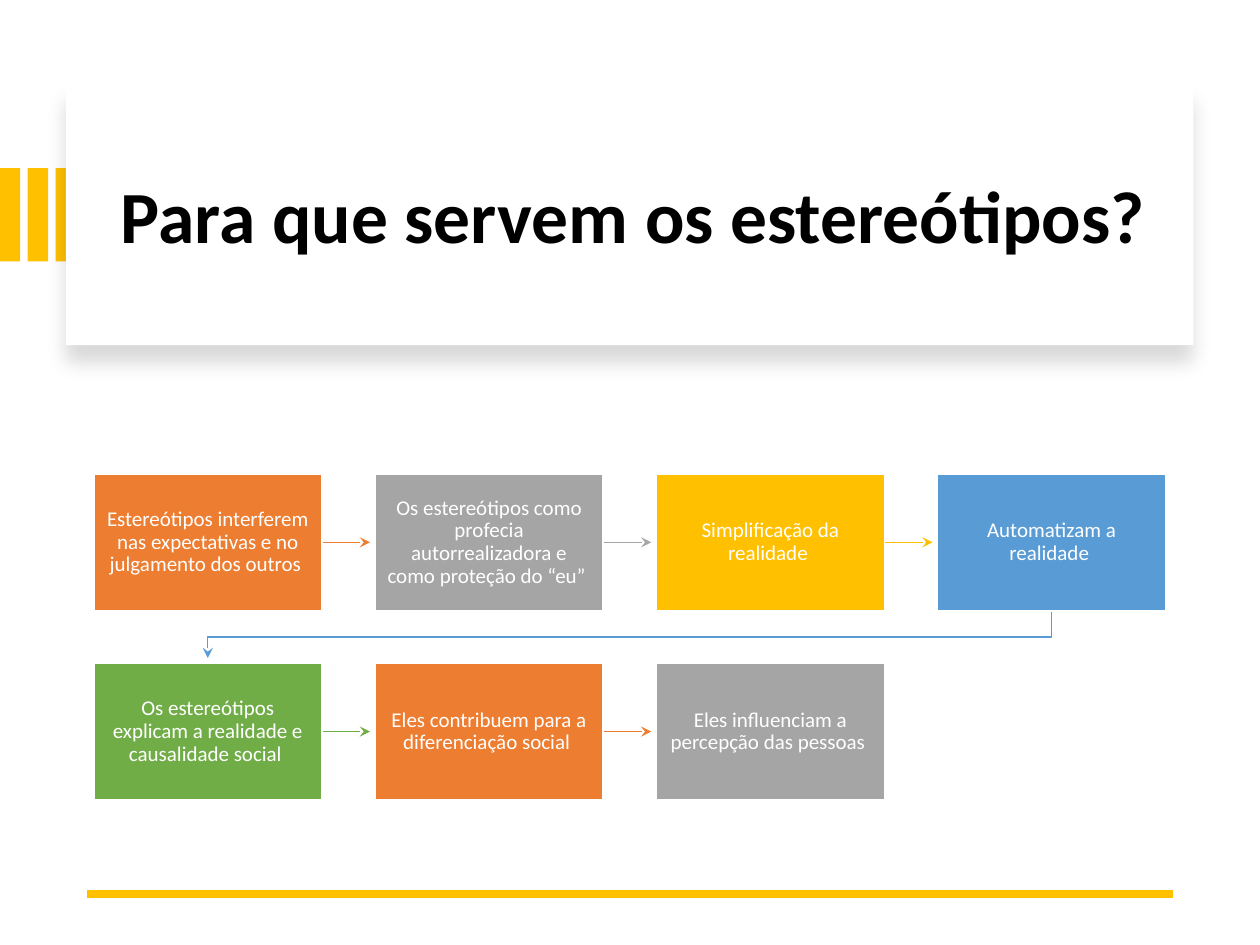
from dataclasses import dataclass

from lxml.etree import SubElement
from pptx import Presentation
from pptx.dml.color import RGBColor as RGB
from pptx.enum.shapes import MSO_CONNECTOR as LINE, MSO_SHAPE as SHAPE
from pptx.enum.text import MSO_ANCHOR as ANCHOR, PP_ALIGN as ALIGN
from pptx.oxml.ns import qn
from pptx.util import Cm, Pt


@dataclass(frozen=True)
class Theme:
    font: str = "Calibri"
    title_size: float = 42
    step_size: float = 12
    black: str = "000000"
    white: str = "FFFFFF"
    orange: str = "ED7D31"
    gray: str = "A5A5A5"
    gold: str = "FFC000"
    blue: str = "599BD5"
    green: str = "70AD47"


T = Theme()
STEPS = [
    ("Estereótipos interferem nas expectativas e no julgamento dos outros ", T.orange),
    ("Os estereótipos como profecia autorrealizadora e como proteção do “eu” ", T.gray),
    ("Simplificação da realidade ", T.gold),
    ("Automatizam a realidade ", T.blue),
    ("Os estereótipos explicam a realidade e causalidade social ", T.green),
    ("Eles contribuem para a diferenciação social ", T.orange),
    ("Eles influenciam a percepção das pessoas ", T.gray),
]


def apply(obj, formats):
    for name, value in formats.items():
        setattr(obj, name, value)


def add_rect(slide, x, y, w, h, color, outline=None):
    sp = slide.shapes.add_shape(SHAPE.RECTANGLE, Cm(x), Cm(y), Cm(w), Cm(h))
    sp.shadow.inherit = False
    sp.fill.solid()
    sp.fill.fore_color.rgb = RGB.from_string(color)
    if outline:
        sp.line.color.rgb = RGB.from_string(outline)
        sp.line.width = Pt(1)
    else:
        sp.line.fill.background()
    return sp


def set_text(sp, text, size, color, align, inset, bold=False):
    tf = sp.text_frame
    apply(tf, {
        "word_wrap": True, "vertical_anchor": ANCHOR.MIDDLE,
        "margin_left": Cm(inset[0]), "margin_right": Cm(inset[0]),
        "margin_top": Cm(inset[1]), "margin_bottom": Cm(inset[1]),
    })
    p = tf.paragraphs[0]
    apply(p, {"alignment": align, "line_spacing": 0.9})
    r = p.add_run()
    r.text = text
    apply(r.font, {"name": T.font, "size": Pt(size), "bold": bold})
    r.font.color.rgb = RGB.from_string(color)


def add_soft_shadow(sp):
    effects = sp._element.spPr.find(qn("a:effectLst"))
    shadow = SubElement(effects, qn("a:outerShdw"), blurRad=str(Pt(11)),
                        dist=str(Pt(10)), dir="5400000", algn="t", rotWithShape="0")
    color = SubElement(shadow, qn("a:srgbClr"), val=T.black)
    SubElement(color, qn("a:alpha"), val="15000")


def style_line(sp, color, width, arrow=False):
    sp.line.color.rgb = RGB.from_string(color)
    sp.line.width = Pt(width)
    if arrow:
        SubElement(sp.line._get_or_add_ln(), qn("a:tailEnd"), type="stealth",
                   w="med", len="med")


def add_line(slide, x1, y1, x2, y2, color, width, arrow=False):
    cx = slide.shapes.add_connector(LINE.STRAIGHT, Cm(x1), Cm(y1), Cm(x2), Cm(y2))
    style_line(cx, color, width, arrow)
    SubElement(cx._element.spPr, qn("a:effectLst"))


def add_bent_arrow(slide, points, color):
    pts = [(Cm(x), Cm(y)) for x, y in points]
    builder = slide.shapes.build_freeform(*pts[0])
    builder.add_line_segments(pts[1:], close=False)
    sp = builder.convert_to_shape()
    sp.shadow.inherit = False
    sp.fill.background()
    style_line(sp, color, 0.75, arrow=True)


def add_stripes(slide, x, y, w, h, count=3, gap=0.15):
    bar = (w - gap * (count - 1)) / count
    for i in range(count):
        add_rect(slide, x + i * (bar + gap), y, bar, h, T.gold)


def add_title(slide, x, y, w, h):
    add_soft_shadow(add_rect(slide, x, y, w, h, T.white))
    tb = slide.shapes.add_textbox(Cm(x + 0.86), Cm(y + 0.56), Cm(w - 1.55), Cm(h - 0.94))
    set_text(tb, "Para que servem os estereótipos?", T.title_size, T.black,
             ALIGN.LEFT, (0.25, 0.13), bold=True)


def add_steps(slide, x, y, w, h, cols=4, rows=2, gap_x=1.07, gap_y=1.05):
    bw = (w - gap_x * (cols - 1)) / cols
    bh = (h - gap_y * (rows - 1)) / rows
    reach = 0.1
    for i, (text, color) in enumerate(STEPS):
        row, col = divmod(i, cols)
        left, top = x + col * (bw + gap_x), y + row * (bh + gap_y)
        right, bottom, middle = left + bw, top + bh, top + bh / 2
        if i < len(STEPS) - 1:
            if col < cols - 1:
                add_line(slide, right, middle, right + gap_x - reach, middle,
                         color, 0.75, arrow=True)
            else:
                start, end, turn = left + bw / 2, x + bw / 2, bottom + gap_y / 2
                add_bent_arrow(slide, [(start, bottom), (start, turn), (end, turn),
                                       (end, bottom + gap_y - reach)], color)
        sp = add_rect(slide, left, top, bw, bh, color, T.white)
        set_text(sp, text, T.step_size, T.white, ALIGN.CENTER, (0.23, 0.23))


def main():
    prs = Presentation()
    apply(prs, {"slide_width": Cm(25.4), "slide_height": Cm(19.05)})
    slide = prs.slides.add_slide(prs.slide_layouts[6])
    add_stripes(slide, 0, 3.39, 1.53, 1.88)
    add_title(slide, 1.33, 1.7, 22.73, 5.26)
    add_line(slide, 23.65, 18.02, 1.75, 18.02, T.gold, 4.5)
    add_steps(slide, 1.89, 9.55, 21.61, 6.58)
    prs.save("out.pptx")


if __name__ == "__main__":
    main()
